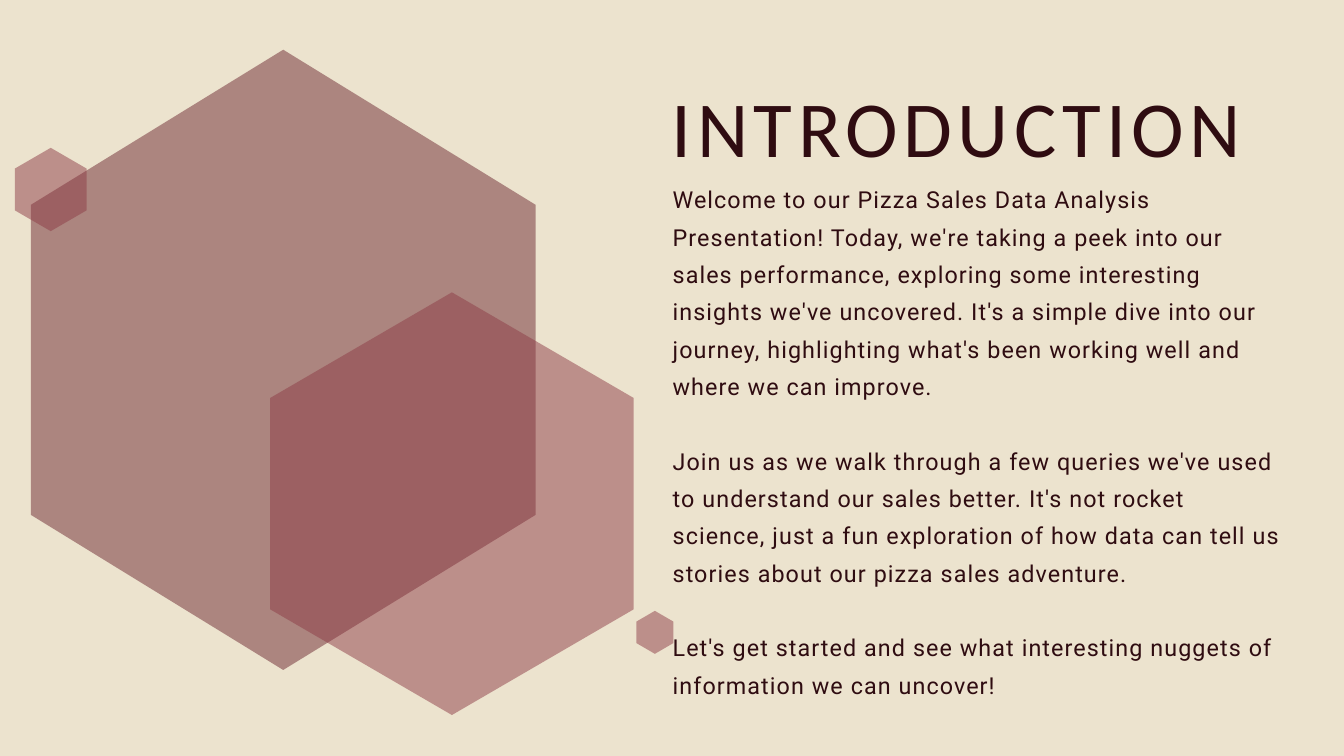
"""Build the introduction slide of a pizza sales presentation."""
from lxml import etree
from pptx import Presentation
from pptx.dml.color import RGBColor
from pptx.oxml import ns
from pptx.util import Inches, Pt

COLORS = {"background": "ECE3CE", "brown": "6D2932", "rose": "8E3C47", "text": "2F0C11"}

HEXAGONS = [
    (0.46, 0.74, 7.51, 9.23, "brown"),
    (4.02, 4.35, 5.41, 6.29, "rose"),
    (0.22, 2.2, 1.07, 1.24, "rose"),
    (9.47, 9.09, 0.55, 0.64, "rose"),
]

INTRODUCTION = [
    "Welcome to our Pizza Sales Data Analysis Presentation! Today, we're taking a peek "
    "into our sales performance, exploring some interesting insights we've uncovered. "
    "It's a simple dive into our journey, highlighting what's been working well and "
    "where we can improve.",
    "Join us as we walk through a few queries we've used to understand our sales better. "
    "It's not rocket science, just a fun exploration of how data can tell us stories "
    "about our pizza sales adventure.",
    "Let's get started and see what interesting nuggets of information we can uncover!",
]


def add_hexagon(slide, left, top, width, height, color):
    middle, right = left + width / 2, left + width
    upper, lower, bottom = top + height / 4, top + height * 3 / 4, top + height
    corners = [(right, upper), (right, lower), (middle, bottom), (left, lower), (left, upper)]
    builder = slide.shapes.build_freeform(Inches(middle), Inches(top))
    builder.add_line_segments([(Inches(x), Inches(y)) for x, y in corners], close=True)
    shape = builder.convert_to_shape()
    shape.shadow.inherit = False
    shape.line.fill.background()
    shape.fill.solid()
    shape.fill.fore_color.rgb = RGBColor.from_string(COLORS[color])
    fill_color = shape.element.spPr.find(ns.qn("a:solidFill"))[0]
    etree.SubElement(fill_color, ns.qn("a:alpha"), val="50000")


def add_text(slide, box, paragraphs, font, size, tracking, line_spacing):
    shape = slide.shapes.add_textbox(*(Inches(length) for length in box))
    frame = shape.text_frame
    frame.word_wrap = True
    frame.margin_left = frame.margin_right = frame.margin_top = frame.margin_bottom = 0
    frame.text = "\n".join(paragraphs)
    for index, paragraph in enumerate(frame.paragraphs):
        paragraph.line_spacing = Pt(line_spacing)
        if index:
            paragraph.space_before = Pt(line_spacing)
        for run in paragraph.runs:
            run.font.name = font
            run.font.size = Pt(size)
            run.font.color.rgb = RGBColor.from_string(COLORS["text"])
            run.font._element.set("spc", str(tracking))


presentation = Presentation()
presentation.slide_width = Inches(20)
presentation.slide_height = Inches(11.25)
slide = presentation.slides.add_slide(presentation.slide_layouts[6])
slide.background.fill.solid()
slide.background.fill.fore_color.rgb = RGBColor.from_string(COLORS["background"])

for hexagon in HEXAGONS:
    add_hexagon(slide, *hexagon)

add_text(slide, (10, 1.52, 8.67, 1.33), ["INTRODUCTION"], "Calibri", 85, 590, 76.5)
add_text(slide, (10.01, 2.62, 9.08, 8.36), INTRODUCTION, "Roboto", 25, 120, 40)

presentation.save("out.pptx")
